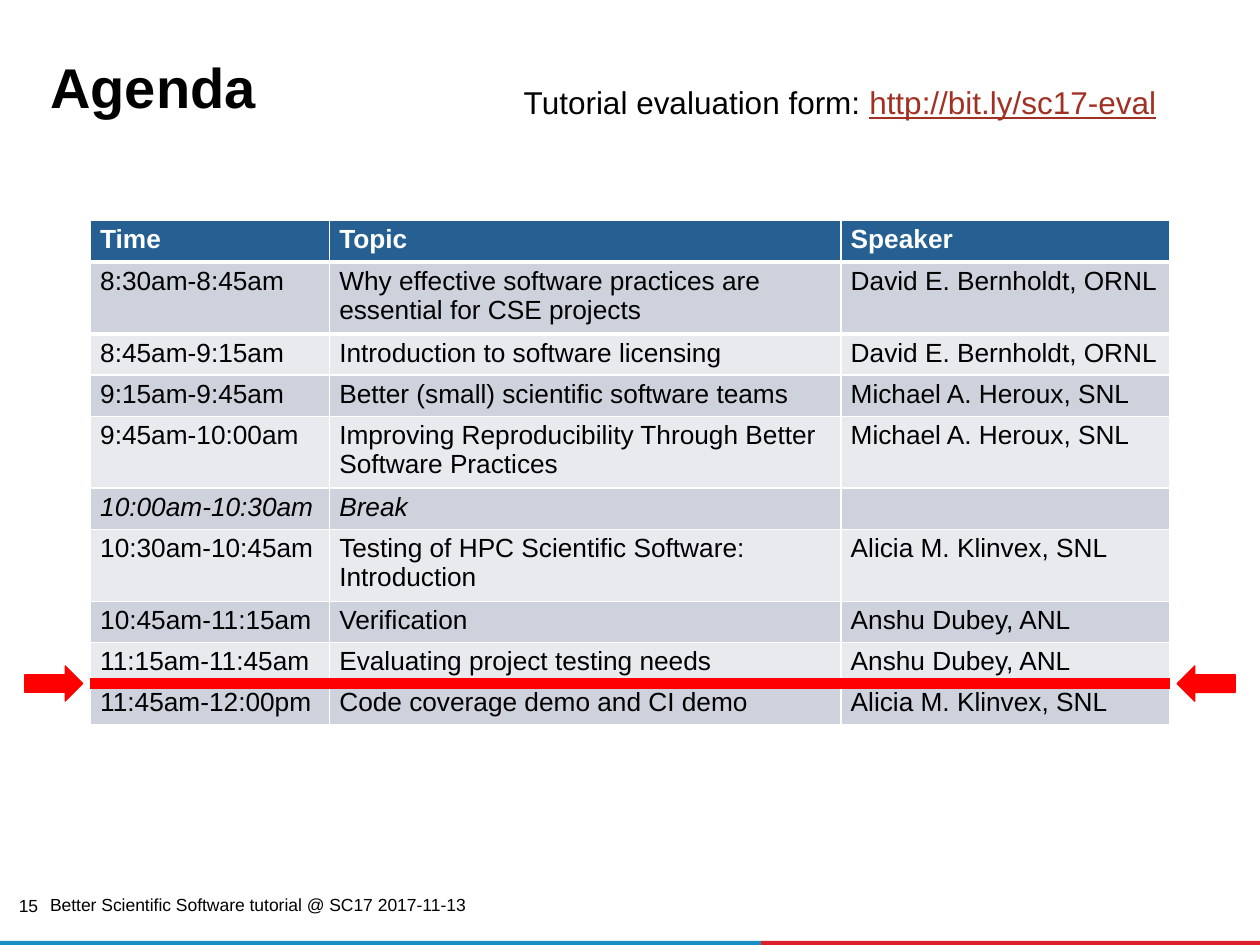
"""Build the tutorial agenda slide with its progress marker."""
from dataclasses import dataclass

from lxml import etree
from pptx import Presentation
from pptx.dml.color import RGBColor
from pptx.enum.shapes import MSO_CONNECTOR, MSO_SHAPE
from pptx.enum.text import MSO_ANCHOR, PP_ALIGN
from pptx.oxml.ns import qn
from pptx.util import Cm, Pt

RECT, ARROW, STRAIGHT = MSO_SHAPE.RECTANGLE, MSO_SHAPE.RIGHT_ARROW, MSO_CONNECTOR.STRAIGHT
TOP, MIDDLE = MSO_ANCHOR.TOP, MSO_ANCHOR.MIDDLE
LEFT, CENTER, RIGHT = PP_ALIGN.LEFT, PP_ALIGN.CENTER, PP_ALIGN.RIGHT


@dataclass(frozen=True)
class Theme:
    font: str = "Arial"
    text: str = "000000"
    white: str = "FFFFFF"
    link: str = "A03123"
    header: str = "266092"
    bands: tuple = ("CDD2DC", "E8EAEE")
    marker: str = "FF0000"
    blue: str = "1B8DC3"
    red: str = "DA1F28"
    title_size: int = 32
    link_size: int = 18
    table_size: int = 15
    footer_size: int = 10


THEME = Theme()
SLIDE_W, SLIDE_H = 25.4, 19.05
TABLE_X, TABLE_Y = 1.82, 4.45
COLUMNS = (4.82, 10.31, 6.63)
ROW_H, TALL_ROW_H = 0.83, 1.45
TALL_ROWS = (1, 4, 6)
BREAK_ROW = 5
AGENDA = (
    ("Time", "Topic", "Speaker"),
    ("8:30am-8:45am", "Why effective software practices are essential for CSE projects",
     "David E. Bernholdt, ORNL"),
    ("8:45am-9:15am", "Introduction to software licensing", "David E. Bernholdt, ORNL"),
    ("9:15am-9:45am", "Better (small) scientific software teams", "Michael A. Heroux, SNL"),
    ("9:45am-10:00am", "Improving Reproducibility Through Better Software Practices",
     "Michael A. Heroux, SNL"),
    ("10:00am-10:30am", "Break", ""),
    ("10:30am-10:45am", "Testing of HPC Scientific Software: Introduction",
     "Alicia M. Klinvex, SNL"),
    ("10:45am-11:15am", "Verification", "Anshu Dubey, ANL"),
    ("11:15am-11:45am", "Evaluating project testing needs", "Anshu Dubey, ANL"),
    ("11:45am-12:00pm", "Code coverage demo and CI demo", "Alicia M. Klinvex, SNL"),
)


def rgb(color):
    return RGBColor.from_string(color)


def set_font(font, size, color=THEME.text, bold=False, italic=False):
    font.name, font.size = THEME.font, Pt(size)
    font.bold, font.italic = bold, italic
    font.color.rgb = rgb(color)


def place(sp, x, y, w, h):
    sp.left, sp.top, sp.width, sp.height = Cm(x), Cm(y), Cm(w), Cm(h)


def add_title(s, text):
    sp = s.shapes.title
    place(sp, 0.76, 1.14, 23.7, 1.42)
    tf = sp.text_frame
    tf.text = text
    tf.vertical_anchor = TOP
    p = tf.paragraphs[0]
    p.alignment, p.line_spacing = LEFT, 0.85
    set_font(p.font, THEME.title_size, bold=True)


def add_text(s, box, text, size, align=LEFT, anchor=TOP, wrap=True, spacing=1.0, inset=None):
    tf = s.shapes.add_textbox(*map(Cm, box)).text_frame
    tf.word_wrap, tf.vertical_anchor = wrap, anchor
    if inset is not None:
        tf.margin_left = tf.margin_top = tf.margin_right = tf.margin_bottom = Cm(inset)
    p = tf.paragraphs[0]
    p.alignment, p.line_spacing = align, spacing
    p.add_run().text = text
    set_font(p.font, size)
    return p


def add_evaluation_address(s):
    p = add_text(s, (10.24, 1.17, 13.39, 1.27), "Tutorial evaluation form: ",
                 THEME.link_size, CENTER, wrap=False, spacing=1.5)
    r = p.add_run()
    r.text = "http://bit.ly/sc17-eval"
    r.font.underline = True
    r.font.color.rgb = rgb(THEME.link)


def add_shape(s, kind, box, color, outlined=False):
    sp = s.shapes.add_shape(kind, *map(Cm, box))
    sp.shadow.inherit = False
    sp.fill.solid()
    sp.fill.fore_color.rgb = rgb(color)
    if outlined:
        sp.line.color.rgb = rgb(color)
        sp.line.width = Pt(0.75)
    else:
        sp.line.fill.background()
    return sp


def add_footer(s):
    split, bar_h = 15.34, 0.08
    y = SLIDE_H - bar_h
    add_shape(s, RECT, (split, y, SLIDE_W - split, bar_h), THEME.red)
    add_shape(s, RECT, (0, y, split, bar_h), THEME.blue)
    add_text(s, (0.76, 17.96, 8.94, 0.53),
             "Better Scientific Software tutorial @ SC17 2017-11-13",
             THEME.footer_size, anchor=MIDDLE)
    add_text(s, (0.34, 18.1, 0.43, 0.43), "15", THEME.footer_size, RIGHT,
             wrap=False, spacing=0.9, inset=0)


def set_border(cell, side, width):
    line = etree.Element(qn(f"a:{side}"), w=str(Pt(width)))
    fill = etree.SubElement(line, qn("a:solidFill"))
    etree.SubElement(fill, qn("a:srgbClr"), val=THEME.white)
    cell._tc.get_or_add_tcPr().insert(0, line)


def fill_cell(cell, text, row):
    header = row == 0
    cell.margin_left = cell.margin_right = Cm(0.2)
    cell.margin_top = cell.margin_bottom = Cm(0.09)
    cell.fill.solid()
    cell.fill.fore_color.rgb = rgb(THEME.header if header else THEME.bands[(row - 1) % 2])
    if header:
        set_border(cell, "lnB", 3)
    elif row == 1:
        set_border(cell, "lnT", 3)
    cell.text = text
    set_font(cell.text_frame.paragraphs[0].font, THEME.table_size,
             THEME.white if header else THEME.text, header, row == BREAK_ROW)


def add_agenda(s):
    heights = [TALL_ROW_H if i in TALL_ROWS else ROW_H for i in range(len(AGENDA))]
    box = (TABLE_X, TABLE_Y, sum(COLUMNS), sum(heights))
    table = s.shapes.add_table(len(AGENDA), len(COLUMNS), *map(Cm, box)).table
    for column, width in zip(table.columns, COLUMNS):
        column.width = Cm(width)
    for i, (height, texts) in enumerate(zip(heights, AGENDA)):
        table.rows[i].height = Cm(height)
        for j, text in enumerate(texts):
            fill_cell(table.cell(i, j), text, i)
    return TABLE_Y + sum(heights[:-1])


def add_marker(s, y):
    line = s.shapes.add_connector(STRAIGHT, Cm(TABLE_X), Cm(y),
                                  Cm(TABLE_X + sum(COLUMNS)), Cm(y))
    line.line.color.rgb = rgb(THEME.marker)
    line.line.width = Pt(6)
    etree.SubElement(line._element.spPr, qn("a:effectLst"))
    margin, w, h = 0.5, 1.17, 0.71
    for x, rotation in ((margin, 0), (SLIDE_W - margin - w, 180)):
        arrow = add_shape(s, ARROW, (x, y - h / 2, w, h), THEME.marker, outlined=True)
        arrow.rotation = rotation


def main():
    prs = Presentation()
    prs.slide_width, prs.slide_height = Cm(SLIDE_W), Cm(SLIDE_H)
    s = prs.slides.add_slide(prs.slide_layouts[5])
    add_footer(s)
    add_evaluation_address(s)
    add_title(s, "Agenda")
    add_marker(s, add_agenda(s))
    prs.save("out.pptx")


if __name__ == "__main__":
    main()
